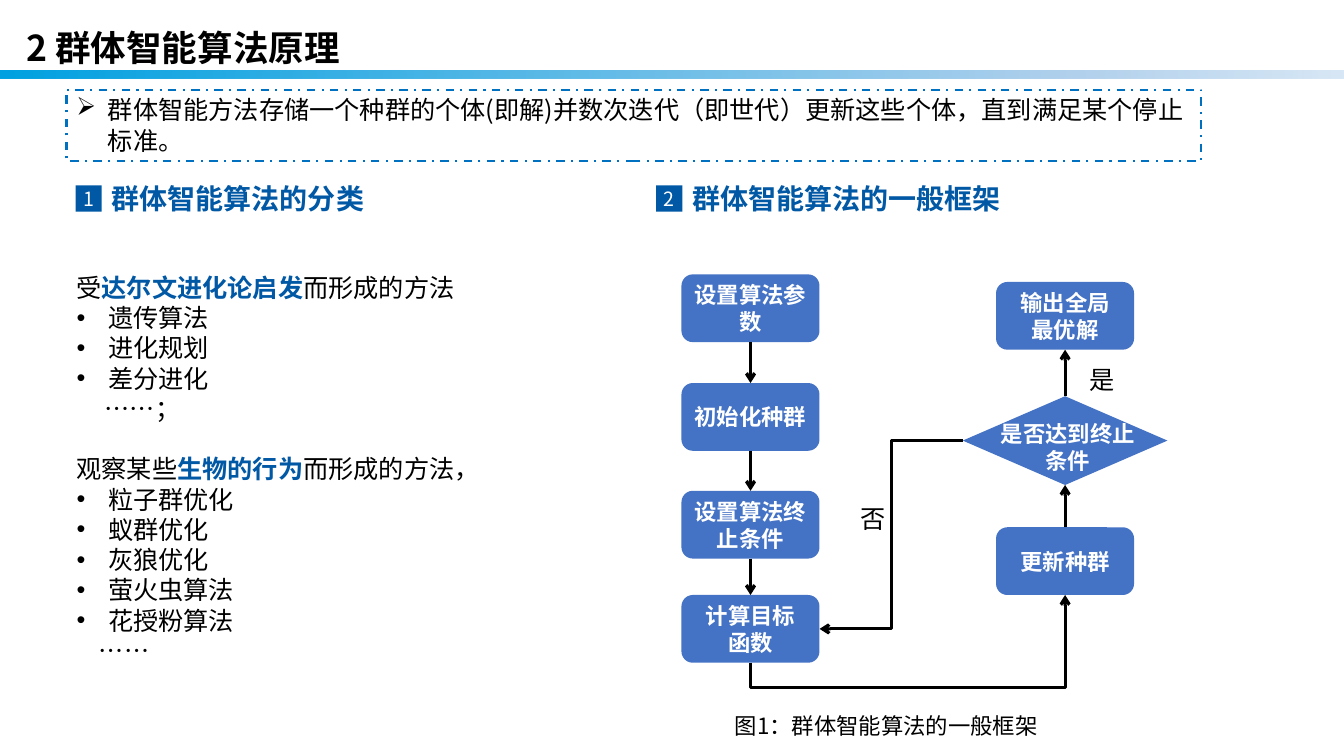
from lxml.etree import SubElement
from pptx import Presentation
from pptx.dml.color import RGBColor
from pptx.enum.dml import MSO_LINE
from pptx.enum.shapes import MSO_CONNECTOR, MSO_SHAPE
from pptx.enum.text import MSO_ANCHOR, MSO_AUTO_SIZE, PP_ALIGN
from pptx.oxml import parse_xml
from pptx.oxml.ns import nsdecls, qn
from pptx.util import Pt

FONT = "Noto Sans CJK SC"
BLACK, WHITE, BLUE, NODE_BLUE = "000000", "FFFFFF", "0158A5", "4472C4"
HANGING = 22.5
NODE_WIDTH, NODE_HEIGHT = 98.6, 48.4


def color(value):
    return RGBColor.from_string(value)


def write(para, segments, size, align=PP_ALIGN.LEFT, bullet=None, indent=0, before=0):
    properties = para._p.get_or_add_pPr()
    properties.set("marL", str(Pt(HANGING if bullet else indent)))
    properties.set("indent", str(Pt(-HANGING if bullet else 0)))
    if bullet:
        SubElement(properties, qn("a:buChar")).set("char", bullet)
    else:
        SubElement(properties, qn("a:buNone"))
    para.alignment = align
    para.line_spacing = Pt(size * 1.2)
    para.space_before = Pt(before)
    para.space_after = Pt(0)
    for text, tint, bold in segments:
        span = para.add_run()
        span.text = text
        span.font.size = Pt(size)
        span.font.bold = bold
        span.font.name = FONT
        span.font.color.rgb = color(tint)
        SubElement(span._r.get_or_add_rPr(), qn("a:ea")).set("typeface", FONT)


def prepare_frame(shape, anchor=MSO_ANCHOR.TOP, side=7.2, edge=3.6):
    frame = shape.text_frame
    frame.word_wrap = True
    frame.auto_size = MSO_AUTO_SIZE.NONE
    frame.vertical_anchor = anchor
    frame.margin_left = frame.margin_right = Pt(side)
    frame.margin_top = frame.margin_bottom = Pt(edge)
    return frame


def place(shape, box):
    shape.left, shape.top, shape.width, shape.height = map(Pt, box)


def add_label(page, box, text, size, tint=BLACK, bold=False, align=PP_ALIGN.LEFT):
    frame = prepare_frame(page.shapes.add_textbox(*map(Pt, box)))
    write(frame.paragraphs[0], [(text, tint, bold)], size, align)


def add_block(page, kind, box, fill=None):
    shape = page.shapes.add_shape(kind, *map(Pt, box))
    shape.shadow.inherit = False
    shape.line.fill.background()
    if fill:
        shape.fill.solid()
        shape.fill.fore_color.rgb = color(fill)
    else:
        shape.fill.background()
    return shape


def add_header(page, box):
    left, top, width, height = box
    title = page.shapes.title
    place(title, (left + 11.5, top + 16.5, width - 22.5, 33.9))
    frame = prepare_frame(title, MSO_ANCHOR.MIDDLE)
    write(frame.paragraphs[0], [("2 群体智能算法原理", BLACK, True)], 25.4)
    bar = page.shapes.add_shape(
        MSO_SHAPE.RECTANGLE, Pt(left), Pt(top + height - 5.8), Pt(width), Pt(5.8))
    bar.shadow.inherit = False
    bar.line.fill.background()
    bar._element.spPr.insert(2, parse_xml(
        f'<a:gradFill {nsdecls("a")}><a:gsLst>'
        '<a:gs pos="0"><a:srgbClr val="00A1E1"/></a:gs>'
        '<a:gs pos="80000"><a:srgbClr val="B2D1ED"/></a:gs>'
        '<a:gs pos="100000"><a:srgbClr val="B2D1ED"><a:alpha val="50000"/></a:srgbClr></a:gs>'
        '</a:gsLst><a:lin ang="0" scaled="0"/></a:gradFill>'))


def add_callout(page, box):
    callout = add_block(page, MSO_SHAPE.RECTANGLE, box)
    callout.line.color.rgb = color("0070C0")
    callout.line.width = Pt(1.5)
    callout.line.dash_style = MSO_LINE.DASH_DOT
    text = "群体智能方法存储一个种群的个体(即解)并数次迭代（即世代）更新这些个体，直到满足某个停止标准。"
    write(prepare_frame(callout).paragraphs[0], [(text, BLACK, False)], 18, bullet="➢")


def add_heading(page, box, number, text):
    left, top, width, height = box
    side = 18.7
    badge = add_block(page, MSO_SHAPE.RECTANGLE, (left, top + 6.5, side, side), BLUE)
    frame = prepare_frame(badge, MSO_ANCHOR.MIDDLE, 0, 0)
    write(frame.paragraphs[0], [(number, WHITE, False)], 14, PP_ALIGN.CENTER)
    add_label(page, (left + side, top, width - side, height), text, 20, BLUE, True)


def add_method_list(page, box):
    body = page.placeholders[1]
    place(body, box)
    frame = prepare_frame(body)
    groups = [
        (("受", "达尔文进化论启发", "而形成的方法"),
         ["遗传算法", "进化规划", "差分进化"], "……；", 20),
        (("观察某些", "生物的行为", "而形成的方法，"),
         ["粒子群优化", "蚁群优化", "灰狼优化", "萤火虫算法", "花授粉算法"], "……", 16),
    ]
    for index, ((opening, key, ending), methods, closing, indent) in enumerate(groups):
        para = frame.add_paragraph() if index else frame.paragraphs[0]
        intro = [(opening, BLACK, False), (key, BLUE, True), (ending, BLACK, False)]
        write(para, intro, 18, before=21.6 if index else 0)
        for method in methods:
            write(frame.add_paragraph(), [(method, BLACK, False)], 18, bullet="•")
        write(frame.add_paragraph(), [(closing, BLACK, False)], 18, indent=indent)


def add_node(page, left, top, text, side=0):
    node = add_block(page, MSO_SHAPE.ROUNDED_RECTANGLE,
                     (left, top, NODE_WIDTH, NODE_HEIGHT), NODE_BLUE)
    frame = prepare_frame(node, MSO_ANCHOR.MIDDLE, side, 0)
    write(frame.paragraphs[0], [(text, WHITE, True)], 16, PP_ALIGN.CENTER)
    return node


def add_arrow(page, start, start_site, end, end_site, kind=MSO_CONNECTOR.STRAIGHT):
    arrow = page.shapes.add_connector(kind, 0, 0, 0, 0)
    arrow.begin_connect(start, start_site)
    arrow.end_connect(end, end_site)
    arrow.line.color.rgb = color(BLACK)
    arrow.line.width = Pt(2.25)
    SubElement(arrow.line._get_or_add_ln(), qn("a:tailEnd")).set("type", "arrow")
    SubElement(arrow._element.spPr, qn("a:effectLst"))
    return arrow


def route_below(arrow, start, end, drop):
    across = end.left - start.left
    rise = start.top - end.top
    center_x = start.left + start.width // 2 + across // 2
    center_y = end.top + end.height + rise // 2
    arrow.left, arrow.top = center_x - rise // 2, center_y - across // 2
    arrow.width, arrow.height = rise, across
    properties = arrow._element.spPr
    for name, value in (("rot", "5400000"), ("flipH", "1"), ("flipV", "1")):
        properties.find(qn("a:xfrm")).set(name, value)
    geometry = properties.find(qn("a:prstGeom"))
    guide = SubElement(geometry.get_or_add_avLst(), qn("a:gd"))
    guide.set("name", "adj1")
    guide.set("fmla", f"val {round(-100000 * Pt(drop) / rise)}")


def add_flowchart(page, box):
    left, top, width, height = box
    right = left + 224.7
    steps = [
        add_node(page, left, top + offset, text, side)
        for offset, text, side in (
            (0, "设置算法参数", 0), (77.6, "初始化种群", 0),
            (154.6, "设置算法终止条件", 0), (229, "计算目标函数", 9))
    ]
    result = add_node(page, right, top + 5.4, "输出全局最优解", 9)
    update = add_node(page, right, top + 180.6, "更新种群")
    center = right + NODE_WIDTH / 2
    decision = add_block(page, MSO_SHAPE.FLOWCHART_DECISION,
                         (center - 73.1, top + 87, 146.2, 63.4), NODE_BLUE)
    add_label(page, (center - 58, top + 100.5, 120, 46), "是否达到终止条件",
              16, WHITE, True, PP_ALIGN.CENTER)
    for start, end in zip(steps, steps[1:]):
        add_arrow(page, start, 2, end, 0)
    add_arrow(page, update, 0, decision, 2)
    add_arrow(page, decision, 0, result, 2)
    add_arrow(page, decision, 1, steps[-1], 3, MSO_CONNECTOR.ELBOW)
    loop = add_arrow(page, steps[-1], 2, update, 2, MSO_CONNECTOR.ELBOW)
    route_below(loop, steps[-1], update, 18)
    add_label(page, (left + 121, top + 159.8, 34, 29), "否", 18)
    add_label(page, (left + 284.4, top + 61, 38, 29), "是", 18)
    add_label(page, (left + 31, top + height - 26.6, width - 31, 26.6),
              "图1：群体智能算法的一般框架", 16)


def main():
    deck = Presentation()
    deck.slide_width, deck.slide_height = Pt(960), Pt(540)
    page = deck.slides.add_slide(deck.slide_layouts[1])
    add_header(page, (0, 0, 960, 56))
    add_callout(page, (47.5, 64, 810.7, 51))
    add_heading(page, (54, 126, 230, 31.7), "1", "群体智能算法的分类")
    add_heading(page, (468.7, 126, 270, 31.7), "2", "群体智能算法的一般框架")
    add_method_list(page, (47.5, 190.8, 421, 291))
    add_flowchart(page, (486.8, 196, 370, 335.6))
    deck.save("out.pptx")


if __name__ == "__main__":
    main()
